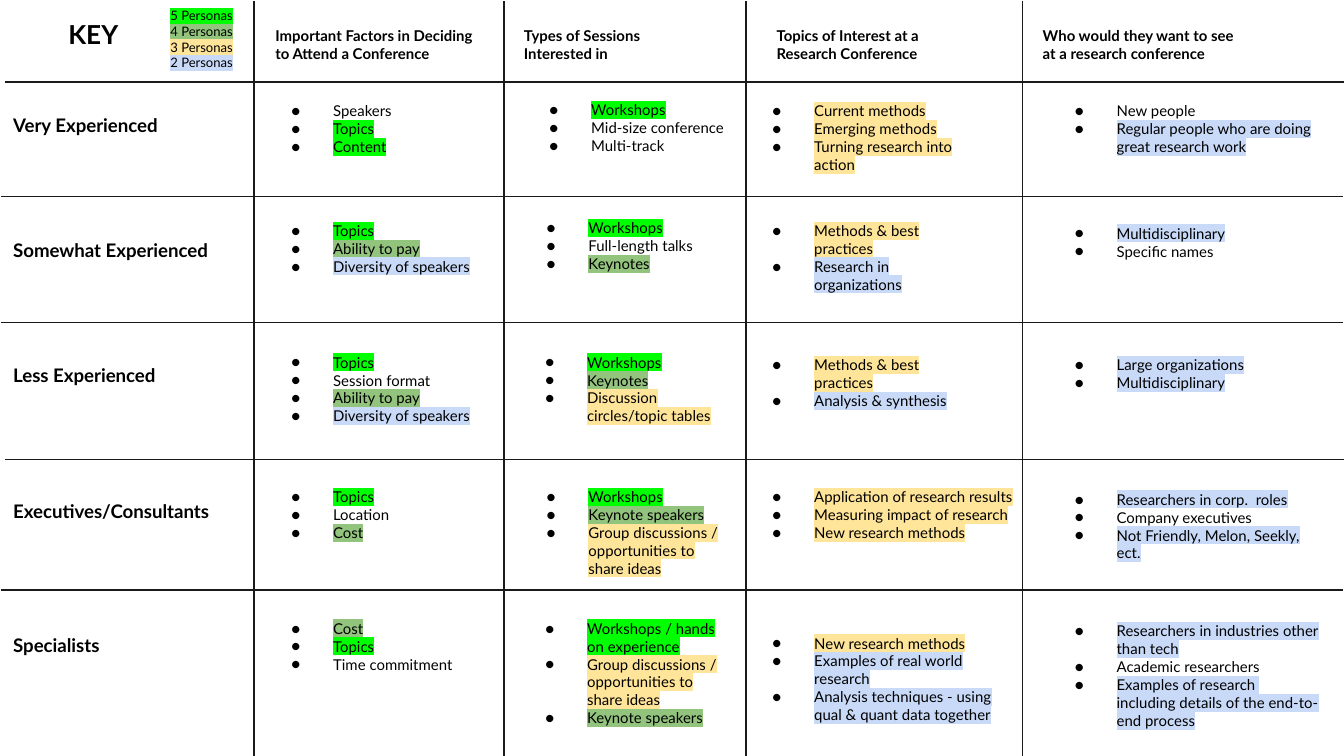
from lxml.etree import SubElement
from pptx import Presentation
from pptx.dml.color import RGBColor
from pptx.enum.shapes import MSO_CONNECTOR
from pptx.enum.text import MSO_ANCHOR, MSO_AUTO_SIZE, PP_ALIGN
from pptx.oxml.ns import qn
from pptx.util import Cm, Pt

# Content: the number beside an item is how many personas share it
HIGHLIGHTS = {5: "00FF00", 4: "93C47D", 3: "FFE599", 2: "C9DAF8"}
KEY_ITEMS = [(f"{count} Personas", count) for count in HIGHLIGHTS]

# Row labels: text, top in inches
ROWS = [
    ("Very Experienced", 0.75),
    ("Somewhat Experienced", 1.68),
    ("Less Experienced", 2.61),
    ("Executives/Consultants", 3.62),
    ("Specialists", 4.62),
]

# Columns: one list per row; lefts, tops and widths in inches
COLUMNS = [
    {
        "heading": "Important Factors in Deciding to Attend a Conference",
        "heading_at": (1.95, 1.69),
        "lefts": [1.88] * 5,
        "tops": [0.66, 1.55, 2.53, 3.53, 4.51],
        "widths": [2.05] * 5,
        "lists": [
            [("Speakers", 0), ("Topics", 5), ("Content", 5)],
            [("Topics", 5), ("Ability to pay", 4), ("Diversity of speakers", 2)],
            [("Topics", 5), ("Session format", 0), ("Ability to pay", 4),
             ("Diversity of speakers", 2)],
            [("Topics", 5), ("Location", 0), ("Cost", 4)],
            [("Cost", 4), ("Topics", 5), ("Time commitment", 0)],
        ],
    },
    {
        "heading": "Types of Sessions Interested in",
        "heading_at": (3.8, 1.57),
        "lefts": [3.8, 3.78, 3.77, 3.78, 3.77],
        "tops": [0.65, 1.53, 2.53, 3.53, 4.51],
        "widths": [1.75] * 5,
        "lists": [
            [("Workshops", 5), ("Mid-size conference", 0), ("Multi-track", 0)],
            [("Workshops", 5), ("Full-length talks", 0), ("Keynotes", 4)],
            [("Workshops", 5), ("Keynotes", 4),
             ("Discussion circles/topic tables", 3)],
            [("Workshops", 5), ("Keynote speakers", 4),
             ("Group discussions / opportunities to share ideas", 3)],
            [("Workshops / hands on experience", 5),
             ("Group discussions / opportunities to share ideas", 3),
             ("Keynote speakers", 4)],
        ],
    },
    {
        "heading": "Topics of Interest at a Research Conference",
        "heading_at": (5.68, 1.34),
        "lefts": [5.46] * 5,
        "tops": [0.66, 1.55, 2.55, 3.53, 4.62],
        "widths": [2.05, 1.93, 1.93, 2.21, 2.05],
        "lists": [
            [("Current methods", 3), ("Emerging methods", 3),
             ("Turning research into action", 3)],
            [("Methods & best practices", 3), ("Research in organizations", 2)],
            [("Methods & best practices", 3), ("Analysis & synthesis", 2)],
            [("Application of research results", 3),
             ("Measuring impact of research", 3), ("New research methods", 3)],
            [("New research methods", 3), ("Examples of real world research", 2),
             ("Analysis techniques - using qual & quant data together", 2)],
        ],
    },
    {
        "heading": "Who would they want to see at a research conference",
        "heading_at": (7.66, 1.69),
        "lefts": [7.71] * 5,
        "tops": [0.66, 1.57, 2.55, 3.55, 4.53],
        "widths": [2.21] * 5,
        "lists": [
            [("New people", 0),
             ("Regular people who are doing great research work", 2)],
            [("Multidisciplinary", 2), ("Specific names", 0)],
            [("Large organizations", 2), ("Multidisciplinary", 2)],
            [("Researchers in corp.  roles", 2), ("Company executives", 0),
             ("Not Friendly, Melon, Seekly, ect.", 2)],
            [("Researchers in industries other than tech", 2),
             ("Academic researchers", 0),
             ("Examples of research  including details of the end-to-end process", 2)],
        ],
    },
]

# Rules in inches; each horizontal rule has its own start
VERTICAL_RULES = [1.89, 3.75, 5.55, 7.61]
HORIZONTAL_RULES = [(0.04, 0.61), (0.01, 1.46), (0.01, 2.4), (0.04, 3.42), (0.01, 4.39)]
RULE_LENGTH = 9.98


def inches(*values):
    return [Cm(value * 2.54) for value in values]


def colour(hex_string):
    return RGBColor.from_string(hex_string)


def highlight(span, hex_string):
    mark = SubElement(span._r.get_or_add_rPr(), qn("a:highlight"))
    SubElement(mark, qn("a:srgbClr"), val=hex_string)
    span._r.rPr.find(qn("a:latin")).addprevious(mark)


def set_bullet(para, bulleted, size):
    properties = para._p.get_or_add_pPr()
    properties.set("marL", str(Cm(1.27) if bulleted else 0))
    properties.set("indent", str(Cm(-0.79) if bulleted else 0))
    if bulleted:
        bullet_colour = SubElement(properties, qn("a:buClr"))
        SubElement(bullet_colour, qn("a:srgbClr"), val="000000")
        SubElement(properties, qn("a:buSzPts"), val=str(size * 100))
        SubElement(properties, qn("a:buFont"), typeface="Lato")
        SubElement(properties, qn("a:buChar"), char="●")
    else:
        SubElement(properties, qn("a:buNone"))


def fill_box(box, place, items, size, bold=False, bulleted=False):
    box.left, box.top, box.width, box.height = inches(*place)
    frame = box.text_frame
    frame.word_wrap = True
    frame.auto_size = MSO_AUTO_SIZE.NONE
    frame.vertical_anchor = MSO_ANCHOR.TOP
    frame.margin_left = frame.margin_right = Cm(0.25)
    frame.margin_top = frame.margin_bottom = Cm(0.25)
    frame.text = "\n".join(text for text, _ in items)
    for para, (_, personas) in zip(frame.paragraphs, items):
        para.alignment = PP_ALIGN.LEFT
        para.space_before = Pt(0)
        set_bullet(para, bulleted, size)
        span = para.runs[0]
        span.font.name = "Lato"
        span.font.size = Pt(size)
        span.font.bold = bold
        span.font.color.rgb = colour("000000")
        if personas:
            highlight(span, HIGHLIGHTS[personas])


def add_text(page, place, items, size, **style):
    fill_box(page.shapes.add_textbox(*inches(*place)), place, items, size, **style)


def add_rule(page, *ends):
    rule = page.shapes.add_connector(MSO_CONNECTOR.STRAIGHT, *inches(*ends))
    rule.line.color.rgb = colour("1A1A1A")
    rule.line.width = Pt(0.75)
    SubElement(rule._element.spPr, qn("a:effectLst"))


def main():
    deck = Presentation()
    # Widescreen, 16 to 9
    deck.slide_width = Cm(25.4)
    deck.slide_height = Cm(25.4 * 9 / 16)
    page = deck.slides.add_slide(deck.slide_layouts[1])

    # Key
    fill_box(page.shapes.title, (0.41, 0.04, 0.76, 0.34), [("KEY", 0)], 14, bold=True)
    fill_box(page.placeholders[1], (1.17, -0.04, 1.05, 0.75), KEY_ITEMS, 7)

    # Grid
    for x in VERTICAL_RULES:
        add_rule(page, x, 0.01, x, 5.68)
    for start, y in HORIZONTAL_RULES:
        add_rule(page, start, y, start + RULE_LENGTH, y)

    # Row labels
    for label, top in ROWS:
        add_text(page, (0, top, 2.05, 0.93), [(label, 0)], 10, bold=True)

    # Column headings and lists
    for column in COLUMNS:
        left, width = column["heading_at"]
        add_text(page, (left, 0.1, width, 0.56), [(column["heading"], 0)], 8, bold=True)
        cells = zip(column["lefts"], column["tops"], column["widths"], column["lists"])
        for left, top, width, items in cells:
            add_text(page, (left, top, width, 0.75), items, 8, bulleted=True)

    deck.save("out.pptx")


if __name__ == "__main__":
    main()
